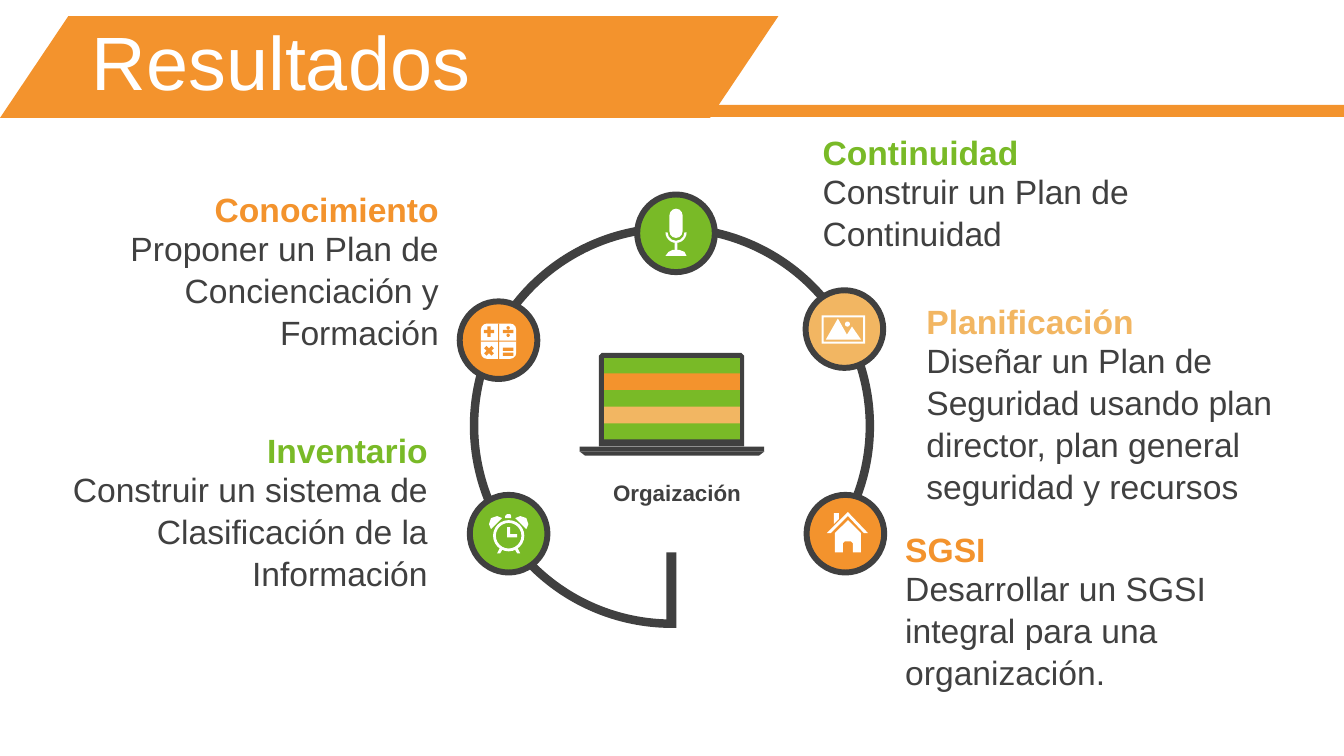
"""Build the "Resultados" slide: a ring of five results around an organisation."""
import pptx
import pptx.util
import pptx.dml.color
import pptx.enum.shapes
import pptx.enum.text

Inches = pptx.util.Inches
Pt = pptx.util.Pt
SHAPE = pptx.enum.shapes.MSO_SHAPE
ALIGN = pptx.enum.text.PP_ALIGN
ANCHOR = pptx.enum.text.MSO_ANCHOR
COLORS = {"orange": "F3932D", "green": "79BA27", "sand": "F2B662",
          "dark": "404040", "white": "FFFFFF"}
RGB = {name: pptx.dml.color.RGBColor.from_string(code) for name, code in COLORS.items()}

deck = pptx.Presentation()
deck.slide_width, deck.slide_height = Inches(13.33), Inches(7.5)
page = deck.slides.add_slide(deck.slide_layouts[5])


def paint(kind, place, color, adjustments=()):
    """Add a preset shape, or a freeform when kind is None and place is a list of outlines."""
    if kind is None:
        outlines = [[(round(x * 1000), round(y * 1000)) for x, y in points] for points in place]
        builder = page.shapes.build_freeform(*outlines[0][0], scale=Inches(1) / 1000)
        builder.add_line_segments(outlines[0][1:])
        for points in outlines[1:]:
            builder.move_to(*points[0])
            builder.add_line_segments(points[1:])
        shape = builder.convert_to_shape()
    else:
        shape = page.shapes.add_shape(kind, *map(Inches, place))
    for index, value in enumerate(adjustments):
        shape.adjustments[index] = value
    shape.shadow.inherit = False
    shape.fill.solid()
    shape.fill.fore_color.rgb = RGB[color]
    shape.line.fill.background()
    return shape


def write(box, text, size, color, bold=False, align=ALIGN.LEFT, spacing=1.0):
    """Fill a text holder with one formatted paragraph."""
    box.text_frame.word_wrap = True
    para = box.text_frame.paragraphs[0]
    para.alignment, para.line_spacing = align, spacing
    span = para.add_run()
    span.text = text
    span.font.color.rgb = RGB[color]
    for name, value in {"name": "Arial", "size": Pt(size), "bold": bold}.items():
        setattr(span.font, name, value)


paint(SHAPE.RECTANGLE, (6.67, 1.04, 6.66, 0.12), "orange")
paint(SHAPE.PARALLELOGRAM, (0, 0.16, 7.72, 1.01), "orange", [0.671])
title = page.shapes.title
title_place = {"left": 0.81, "top": 0.26, "width": 12.24, "height": 0.79}
for name, value in title_place.items():
    setattr(title, name, Inches(value))
title.text_frame.auto_size = pptx.enum.text.MSO_AUTO_SIZE.NONE
title.text_frame.vertical_anchor = ANCHOR.MIDDLE
write(title, "Resultados", 54, "white", spacing=0.9)
title.element.getparent().append(title.element)

for row, color in enumerate(["green", "orange", "green", "sand", "green"]):
    paint(SHAPE.RECTANGLE, (5.98, 3.54 + row * 0.165, 1.38, 0.17), color)
paint(None, [[(5.94, 3.53), (5.97, 3.5), (7.35, 3.5), (7.38, 3.53), (7.38, 4.43), (5.94, 4.43)],
             [(5.99, 3.55), (5.99, 4.36), (7.34, 4.36), (7.34, 3.55)]], "dark")
paint(SHAPE.RECTANGLE, (5.75, 4.43, 1.83, 0.05), "dark")
paint(SHAPE.TRAPEZOID, (5.75, 4.48, 1.83, 0.04), "dark", [1.299]).rotation = 180
organization = page.shapes.add_textbox(*map(Inches, (5.49, 4.7, 2.45, 0.37)))
write(organization, "Orgaización", 16, "dark", True, ALIGN.CENTER)

paint(SHAPE.BLOCK_ARC, (4.66, 2.22, 4.01, 4.01), "dark", [53.932, 17.208, 0.021])
paint(SHAPE.RECTANGLE, (6.61, 5.48, 0.1, 0.75), "dark")
badges = [(8, 4.91, "orange"), (6.32, 1.93, "green"), (4.56, 2.99, "orange"),
          (4.66, 4.91, "green"), (7.99, 2.88, "sand")]
for left, top, color in badges:
    badge = paint(SHAPE.OVAL, (left, top, 0.77, 0.77), color)
    badge.line.color.rgb = RGB["dark"]
    badge.line.width = Pt(4.25)

results = [
    (8.06, 1.26, 3.25, 1.31, ALIGN.LEFT, "green", "Continuidad",
     "Construir un Plan de Continuidad"),
    (9.09, 2.94, 3.96, 2.12, ALIGN.LEFT, "sand", "Planificación",
     "Diseñar un Plan de Seguridad usando plan director, plan general seguridad y recursos"),
    (8.88, 5.2, 3.25, 1.31, ALIGN.LEFT, "orange", "SGSI",
     "Desarrollar un SGSI integral para una organización."),
    (1.19, 1.83, 3.26, 1.31, ALIGN.RIGHT, "orange", "Conocimiento",
     "Proponer un Plan de Concienciación y Formación"),
    (0.34, 4.22, 4, 1.72, ALIGN.RIGHT, "green", "Inventario",
     "Construir un sistema de Clasificación de la Información"),
]
for left, top, width, height, align, color, heading, detail in results:
    heading_box = page.shapes.add_textbox(*map(Inches, (left, top, width, 0.5)))
    write(heading_box, heading, 24, color, True, align)
    detail_box = page.shapes.add_textbox(*map(Inches, (left, top + 0.37, width, height)))
    write(detail_box, detail, 24, "dark", False, align, 1.04)

clock_axis = 5.045
clock_side = [
    [(4.87, 5.25), (4.85, 5.2), (4.87, 5.14), (4.93, 5.12), (4.98, 5.14)],
    [(4.96, 5.43), (4.99, 5.44), (4.96, 5.49), (4.93, 5.49)],
]
clock_mirror = [[(2 * clock_axis - x, y) for x, y in points] for points in clock_side]
clock_hands = [(5.03, 5.23), (5.06, 5.23), (5.06, 5.3), (5.13, 5.3), (5.13, 5.33), (5.03, 5.33)]
clock_knob = [(5.01, 5.14), (5.01, 5.12), (5.03, 5.1), (5.06, 5.1), (5.07, 5.12), (5.07, 5.14)]
paint(SHAPE.DONUT, (4.89, 5.16, 0.31, 0.31), "white", [0.09])
paint(None, clock_side + clock_mirror + [clock_hands, clock_knob], "white")

paint(SHAPE.ROUNDED_RECTANGLE, (4.77, 3.21, 0.35, 0.35), "white", [0.17])
paint(SHAPE.RECTANGLE, (4.94, 3.21, 0.01, 0.35), "orange")
paint(SHAPE.RECTANGLE, (4.77, 3.38, 0.35, 0.01), "orange")
keys = [(SHAPE.MATH_PLUS, 4.85, 3.29), (SHAPE.MATH_DIVIDE, 5.04, 3.29),
        (SHAPE.MATH_MULTIPLY, 4.85, 3.48), (SHAPE.MATH_EQUAL, 5.04, 3.49)]
for kind, x, y in keys:
    paint(kind, (x - 0.07, y - 0.07, 0.14, 0.14), "orange")

house_walls = [(8.41, 5.16), (8.54, 5.29), (8.54, 5.48), (8.46, 5.48), (8.46, 5.39),
               (8.44, 5.37), (8.38, 5.37), (8.36, 5.39), (8.36, 5.48), (8.28, 5.48), (8.28, 5.29)]
house_chimney = [(8.27, 5.09), (8.32, 5.09), (8.32, 5.15), (8.27, 5.2)]
house_roof = [(8.2, 5.29), (8.41, 5.08), (8.61, 5.29), (8.57, 5.29), (8.41, 5.12), (8.24, 5.29)]
for points in (house_walls, house_chimney, house_roof):
    paint(None, [points], "white")

paint(SHAPE.ROUNDED_RECTANGLE, (6.64, 2.07, 0.13, 0.29), "white", [0.5])
paint(SHAPE.BLOCK_ARC, (6.6, 2.2, 0.21, 0.21), "white", [0, 108, 0.1])
paint(SHAPE.RECTANGLE, (6.69, 2.4, 0.03, 0.09), "white")
paint(None, [[(6.6, 2.54), (6.63, 2.5), (6.67, 2.48), (6.74, 2.48), (6.79, 2.5), (6.81, 2.54)]],
      "white")

paint(SHAPE.FRAME, (8.15, 3.13, 0.43, 0.28), "white", [0.07])
paint(None, [[(8.19, 3.37), (8.31, 3.16), (8.4, 3.32), (8.45, 3.24), (8.54, 3.37)]], "white")
paint(SHAPE.OVAL, (8.38, 3.19, 0.05, 0.05), "white")

deck.save("out.pptx")
